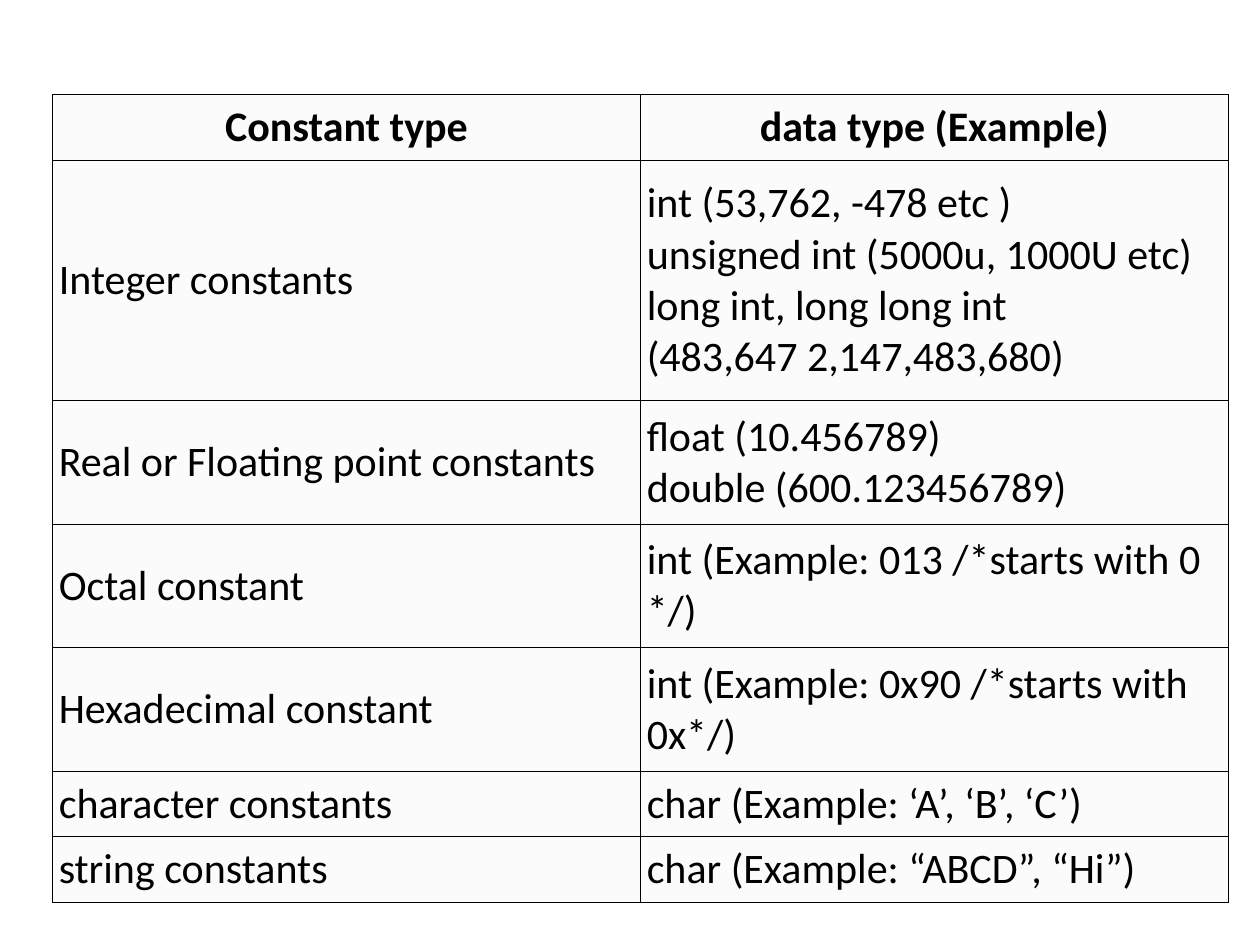
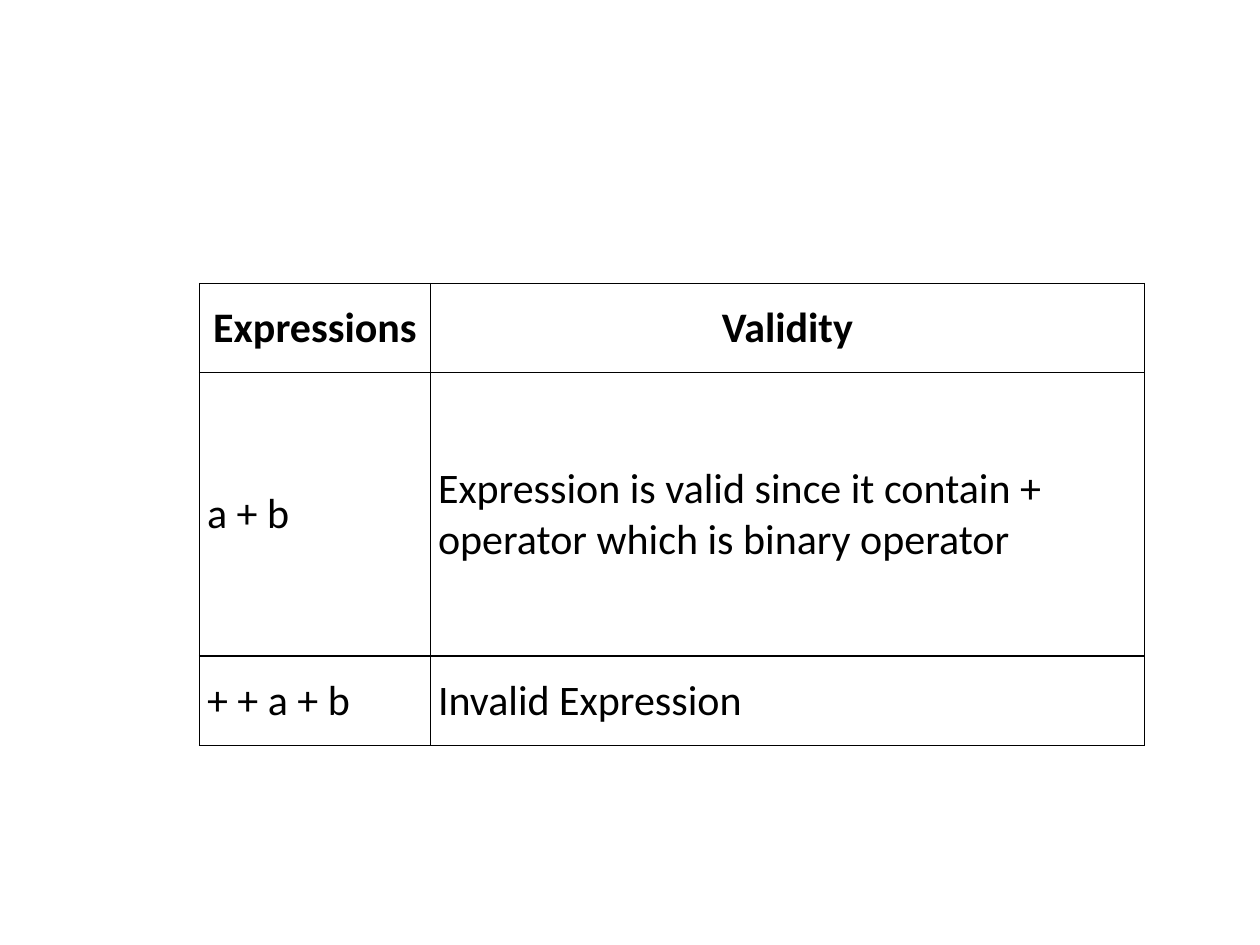
import lxml.etree
import pptx
import pptx.dml.color
import pptx.enum.text
import pptx.oxml.ns
import pptx.util

COLOURS = {"text": "000000", "border": "000000", "page": "FFFFFF", "panel": "FBFBFB"}
FONT, FONT_SIZE = "Calibri", 24
GRID_COLUMNS, GRID_ROWS = 120, 90
SLIDE_WIDTH, SLIDE_HEIGHT = pptx.util.Inches(10), pptx.util.Inches(7.5)

CONSTANT_TYPES = [
    ("Constant type", "data type (Example)"),
    ("Integer constants",
     "int (53,762, -478 etc )\nunsigned int (5000u, 1000U etc)\n"
     "long int, long long int\n(483,647 2,147,483,680)"),
    ("Real or Floating point constants", "float (10.456789)\ndouble (600.123456789)"),
    ("Octal constant", "int (Example: 013 /*starts with 0 */)"),
    ("Hexadecimal constant", "int (Example: 0x90 /*starts with 0x*/)"),
    ("character constants", "char (Example: ‘A’, ‘B’, ‘C’)"),
    ("string constants", "char (Example: “ABCD”, “Hi”)"),
]
EXPRESSIONS = [
    ("Expressions", "Validity"),
    ("a + b", "Expression is valid since it contain + operator which is binary operator"),
    ("+ + a + b", "Invalid Expression"),
]


def colour(name):
    return pptx.dml.color.RGBColor.from_string(COLOURS[name])


def across(columns):
    return round(SLIDE_WIDTH * columns / GRID_COLUMNS)


def down(rows):
    return round(SLIDE_HEIGHT * rows / GRID_ROWS)


def add_borders(cell, points):
    """Draw a solid line on all four sides of a cell."""
    qn = pptx.oxml.ns.qn
    properties = cell._tc.get_or_add_tcPr()
    for side in ("a:lnL", "a:lnR", "a:lnT", "a:lnB"):
        line = lxml.etree.SubElement(properties, qn(side), w=str(pptx.util.Pt(points)))
        fill = lxml.etree.SubElement(line, qn("a:solidFill"))
        lxml.etree.SubElement(fill, qn("a:srgbClr"), val=COLOURS["border"])


def style_cell(cell, text, is_header, margins, border, fill):
    add_borders(cell, border)
    if fill:
        cell.fill.solid()
        cell.fill.fore_color.rgb = colour(fill)
    else:
        cell.fill.background()
    cell.vertical_anchor = pptx.enum.text.MSO_ANCHOR.MIDDLE
    side, edge = (pptx.util.Inches(margin) for margin in margins)
    cell.margin_left = cell.margin_right = side
    cell.margin_top = cell.margin_bottom = edge

    para = cell.text_frame.paragraphs[0]
    para.text = text
    align = pptx.enum.text.PP_ALIGN
    para.alignment = align.CENTER if is_header else align.LEFT
    para.font.name = FONT
    para.font.size = pptx.util.Pt(FONT_SIZE)
    para.font.bold = is_header
    para.font.color.rgb = colour("text")


def add_table_slide(deck, content, corner, widths, heights, margins, border, fill=None):
    """Add a page with one table; corner, widths and heights are in grid units."""
    page = deck.slides.add_slide(deck.slide_layouts[6])
    page.background.fill.solid()
    page.background.fill.fore_color.rgb = colour("page")

    left, top = corner
    table = page.shapes.add_table(
        len(heights), len(widths),
        across(left), down(top), across(sum(widths)), down(sum(heights))).table
    table.first_row = table.horz_banding = False
    for column, width in zip(table.columns, widths):
        column.width = across(width)
    for index, (row, height, texts) in enumerate(zip(table.rows, heights, content)):
        row.height = down(height)
        for cell, text in zip(row.cells, texts):
            style_cell(cell, text, index == 0, margins, border, fill)


def main():
    deck = pptx.Presentation()
    deck.slide_width, deck.slide_height = SLIDE_WIDTH, SLIDE_HEIGHT

    # Constant types: one-line rows share a height, as do two-line rows
    single, double = 6.25, 11.76
    add_table_slide(
        deck, CONSTANT_TYPES, corner=(5, 9), widths=[56, 56],
        heights=[single, 22.92, double, double, double, single, single],
        margins=(0.05, 0.03), border=0.5, fill="panel")

    # Validity of expressions
    add_table_slide(
        deck, EXPRESSIONS, corner=(19, 27), widths=[22, 68],
        heights=[8.5, 27, 8.5], margins=(0.06, 0.06), border=1)

    deck.save("out.pptx")


if __name__ == "__main__":
    main()
